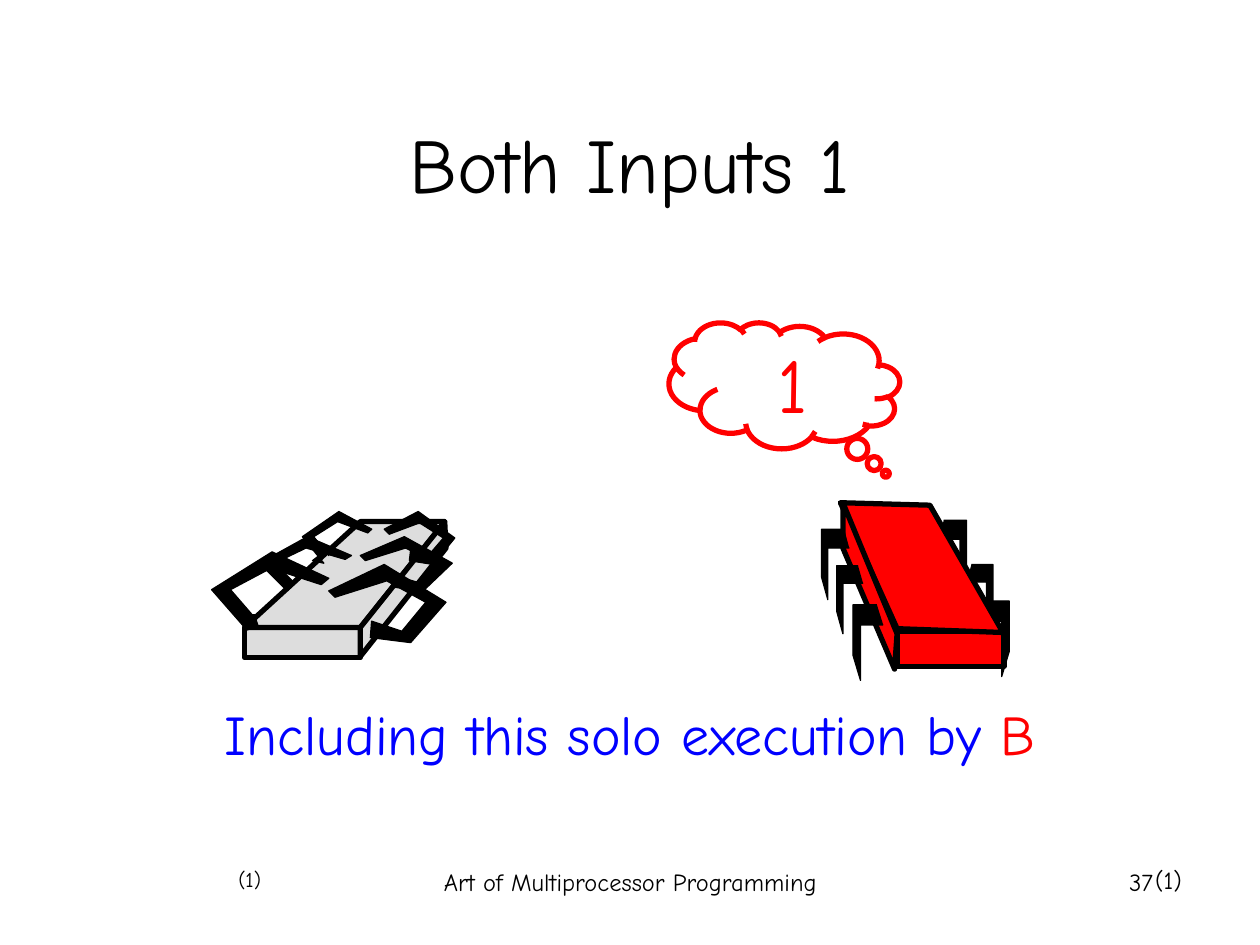
from dataclasses import dataclass

from pptx import Presentation
from pptx.dml.color import RGBColor
from pptx.enum.shapes import MSO_SHAPE
from pptx.enum.text import MSO_ANCHOR, MSO_AUTO_SIZE, PP_ALIGN
from pptx.util import Pt

CENTER, RIGHT = PP_ALIGN.CENTER, PP_ALIGN.RIGHT
TOP, MIDDLE = MSO_ANCHOR.TOP, MSO_ANCHOR.MIDDLE
FIT_SHAPE, NO_FIT = MSO_AUTO_SIZE.SHAPE_TO_FIT_TEXT, MSO_AUTO_SIZE.NONE
RECTANGLE, CLOUD = MSO_SHAPE.RECTANGLE, MSO_SHAPE.CLOUD_CALLOUT
GRID = Pt(0.72)  # unit of the outlines: a hundredth of an inch


@dataclass(frozen=True)
class Theme:
    font: str = "Comic Neue"
    black: RGBColor = RGBColor(0, 0, 0)
    grey: RGBColor = RGBColor(0xDD, 0xDD, 0xDD)
    red: RGBColor = RGBColor(0xFF, 0, 0)
    blue: RGBColor = RGBColor(0, 0, 0xFF)
    heading: int = 44
    body: int = 32
    footer: int = 14
    small: int = 12
    thick: float = 3
    thin: float = 0.75


class SlideBuilder:
    def __init__(self, page, theme):
        self.page = page
        self.theme = theme

    def set_text(self, shape, spans, size, align, anchor=TOP):
        """Fill a shape with one paragraph; spans are (text, colour) pairs."""
        frame = shape.text_frame
        frame.word_wrap = True
        frame.auto_size = NO_FIT
        frame.vertical_anchor = anchor
        para = frame.paragraphs[0]
        para.alignment = align
        for text, colour in spans:
            span = para.add_run()
            span.text = text
            span.font.name = self.theme.font
            span.font.size = Pt(size)
            span.font.color.rgb = colour

    def title(self, text, bounds):
        shape = self.page.shapes.title
        shape.left, shape.top, shape.width, shape.height = map(Pt, bounds)
        self.set_text(shape, [(text, self.theme.black)], self.theme.heading, CENTER, MIDDLE)

    def text(self, spans, bounds, size, align):
        box = self.page.shapes.add_textbox(*map(Pt, bounds))
        self.set_text(box, spans, size, align)
        return box

    def label(self, text, bounds, size):
        """Add a short unwrapped text whose box fits it."""
        box = self.text([(text, self.theme.black)], bounds, size, RIGHT)
        box.text_frame.word_wrap = False
        box.text_frame.auto_size = FIT_SHAPE

    def group(self):
        return self.page.shapes.add_group_shape()

    def paint(self, shape, fill, width):
        shape.shadow.inherit = False
        shape.fill.solid()
        shape.fill.fore_color.rgb = fill
        shape.line.color.rgb = self.theme.black
        shape.line.width = Pt(width)

    def block(self, group, bounds, fill):
        shape = group.shapes.add_shape(RECTANGLE, *map(Pt, bounds))
        self.paint(shape, fill, self.theme.thick)

    def outline(self, group, points, fill, width, close=True):
        builder = group.shapes.build_freeform(*points[0], scale=GRID)
        builder.add_line_segments(points[1:], close=close)
        self.paint(builder.convert_to_shape(), fill, width)

    def straight_leg(self, group, left, top, width, height, mirrored):
        """Draw a hooked leg from its proportions, pointing right unless mirrored."""
        points = []
        for across, down in STRAIGHT_LEG:
            across = 1 - across if mirrored else across
            points.append((round(left + across * width), round(top + down * height)))
        self.outline(group, points, self.theme.black, self.theme.thin, close=False)

    def thought(self, text, bounds):
        cloud = self.page.shapes.add_shape(CLOUD, *map(Pt, bounds))
        cloud.shadow.inherit = False
        cloud.adjustments[0] = -0.44
        cloud.adjustments[1] = 0.7
        cloud._element.spPr.xfrm.set("flipH", "1")
        cloud.fill.background()
        cloud.line.color.rgb = self.theme.red
        cloud.line.width = Pt(self.theme.thick)
        self.set_text(cloud, [(text, self.theme.red)], self.theme.heading, CENTER, MIDDLE)


STRAIGHT_LEG = [(0.19, 0), (1, 0), (1, 0.67), (0.77, 1), (0.77, 0.26), (0, 0.26)]
RIGHT_LEGS = [(777, 477, 24, 60), (767, 448, 21, 54), (745, 413, 22, 56)]
LEFT_LEGS = [(677, 480, 24, 60), (664, 449, 21, 54), (652, 420, 22, 56)]
RED_FACES = [
    [(796, 502), (712, 499), (667, 399), (738, 401)],
    [(669, 399), (669, 435), (710, 531), (712, 503)],
]
GREY_FACES = [
    [(353, 414), (286, 498), (194, 498), (286, 414)],
    [(353, 414), (354, 435), (286, 521), (286, 498)],
]
BENT_LEGS = [
    [(295, 493), (294, 506), (326, 510), (354, 478), (305, 448), (261, 469),
     (266, 474), (307, 461), (338, 478), (319, 501)],
    [(313, 457), (312, 466), (336, 469), (359, 447), (321, 426), (286, 441),
     (290, 445), (322, 435), (346, 447), (331, 462)],
    [(326, 436), (325, 445), (344, 448), (361, 427), (332, 406), (305, 420),
     (309, 424), (333, 415), (352, 427), (340, 441)],
    [(237, 456), (233, 464), (228, 469), (206, 447), (244, 426), (279, 441),
     (274, 444), (243, 435), (218, 447), (233, 462)],
    [(261, 435), (248, 445), (257, 447), (240, 426), (269, 406), (295, 420),
     (292, 423), (268, 414), (249, 426), (261, 441)],
    [(200, 493), (203, 491), (205, 497), (196, 500), (168, 468), (216, 438),
     (261, 459), (255, 464), (215, 451), (183, 468), (202, 490), (200, 488),
     (207, 488)],
]


def draw_grey_thread(slide):
    theme = slide.theme
    group = slide.group()
    slide.block(group, (139.7, 358.6, 66.2, 17.3), theme.grey)
    for face in GREY_FACES:
        slide.outline(group, face, theme.grey, theme.thick)
    for leg in BENT_LEGS:
        slide.outline(group, leg, theme.black, theme.thin)


def draw_red_thread(slide):
    theme = slide.theme
    group = slide.group()
    slide.block(group, (512.6, 360.7, 61.2, 20.2), theme.red)
    for leg in RIGHT_LEGS:
        slide.straight_leg(group, *leg, mirrored=False)
    for face in RED_FACES:
        slide.outline(group, face, theme.red, theme.thick)
    for leg in LEFT_LEGS:
        slide.straight_leg(group, *leg, mirrored=True)


def main():
    deck = Presentation()
    deck.slide_width, deck.slide_height = Pt(720), Pt(540)
    theme = Theme()
    slide = SlideBuilder(deck.slides.add_slide(deck.slide_layouts[5]), theme)

    slide.title("Both Inputs 1", (54, 48, 612, 90))
    slide.text([("Including this solo execution by ", theme.blue), ("B", theme.red)],
               (54, 396, 612, 84), theme.body, CENTER)
    draw_grey_thread(slide)
    slide.label("(1)", (128.9, 491.8, 27.4, 21.6), theme.small)
    slide.label("(1)", (653, 491, 29.5, 24.5), theme.footer)
    draw_red_thread(slide)
    slide.thought("1", (382.3, 184.3, 131.8, 72))
    slide.text([("Art of Multiprocessor Programming", theme.black)],
               (246.2, 491.8, 228.2, 36), theme.footer, CENTER)
    slide.text([("37", theme.black)], (516.2, 491.8, 149.8, 36), theme.footer, RIGHT)
    deck.save("out.pptx")


if __name__ == "__main__":
    main()
